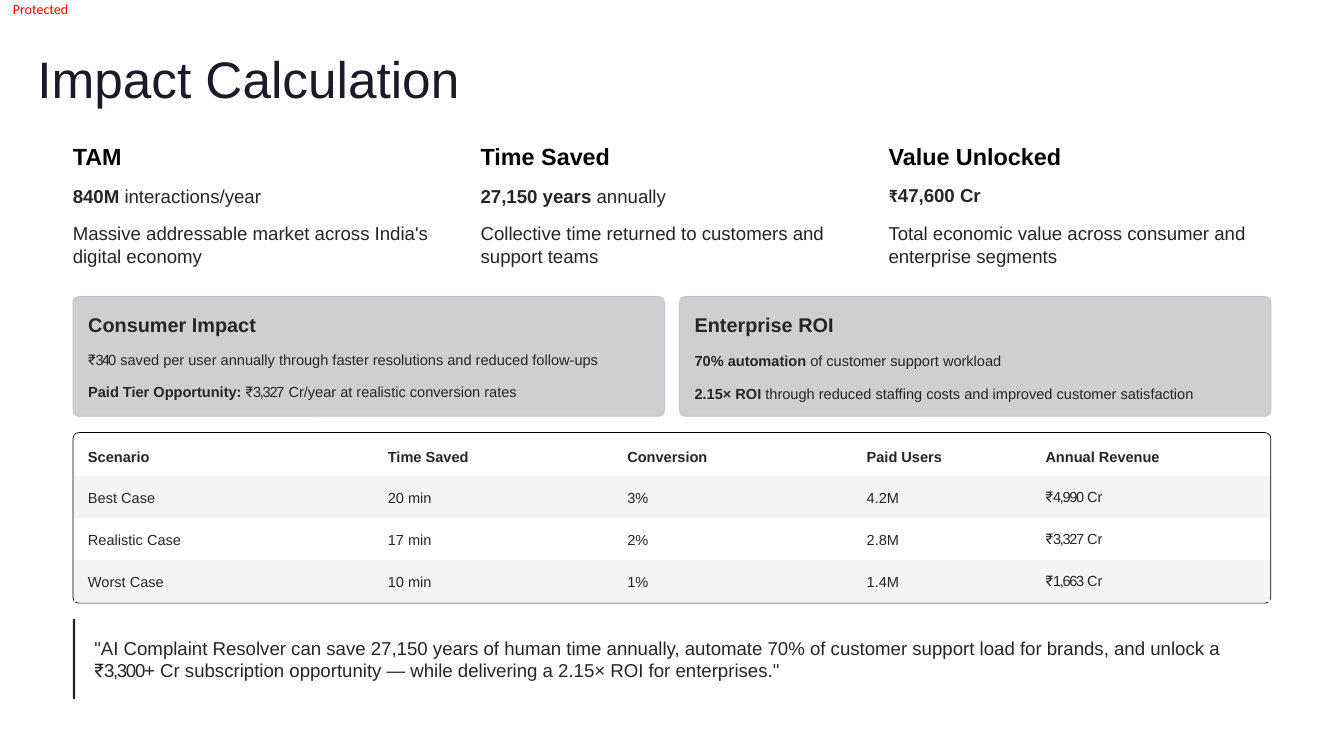
from pptx import Presentation
from pptx.dml.color import RGBColor
from pptx.enum.shapes import MSO_SHAPE
from pptx.enum.text import MSO_ANCHOR, MSO_AUTO_SIZE, PP_ALIGN
from pptx.util import Pt

BLACK = RGBColor(0x00, 0x00, 0x00)
INK = RGBColor(0x27, 0x24, 0x24)
NAVY = RGBColor(0x1B, 0x1B, 0x27)
RED = RGBColor(0xFF, 0x00, 0x00)
PANEL = RGBColor(0xD0, 0xCE, 0xCE)
PANEL_EDGE = RGBColor(0xC5, 0xBC, 0xDA)
BAND = RGBColor(0xF4, 0xF4, 0xF4)
BAR = RGBColor(0x25, 0x25, 0x25)

NO_GRID_STYLE = "{2D5ABB26-0587-4C30-8999-92F81FD0307C}"
LEFT = 62.6
WIDTH = 1026.7
CORNER = 5

BODY = {"name": "Arial", "size": Pt(16), "color": INK}
SMALL = BODY | {"size": Pt(12.5)}
COLUMN_HEAD = {"name": "Arial", "size": Pt(20), "color": BLACK, "bold": True}
PANEL_HEAD = BODY | {"size": Pt(17), "bold": True}
TITLE = {"name": "Arial", "size": Pt(44), "color": NAVY}
LABEL = {"name": "Calibri", "size": Pt(12), "color": RED}
BOLD = {"bold": True}


def rupees(amount, spacing=-1.1):
    return [("₹", {"name": "Roboto", "spacing": spacing}), (amount, {"spacing": spacing})]


def para(runs, font, **layout):
    return runs, font, layout


COLUMNS = [
    (307.4, "TAM", [("840M ", BOLD), ("interactions/year", {})], 13.3, 11.2,
     "Massive addressable market across India's digital economy"),
    (297.4, "Time Saved", [("27,150 years ", BOLD), ("annually", {})], 13.3, 11.2,
     "Collective time returned to customers and support teams"),
    (310.3, "Value Unlocked", [("₹", BOLD | {"name": "Calibri"}), ("47,600 Cr", BOLD)], 11.8, 12.7,
     "Total economic value across consumer and enterprise segments"),
]

PANELS = [
    ("Consumer Impact", 11.8, 12.5, [
        rupees("340", -1.6)
        + [(" saved per user annually through faster resolutions and reduced follow-ups", {})],
        [("Paid Tier Opportunity: ", BOLD), *rupees("3,327"),
         (" Cr/year at realistic conversion rates", {})]]),
    ("Enterprise ROI", 13.1, 13.1, [
        [("70% automation ", BOLD), ("of customer support workload", {})],
        [("2.15× ROI ", BOLD),
         ("through reduced staffing costs and improved customer satisfaction", {})]]),
]

SCENARIOS = [
    ["Scenario", "Time Saved", "Conversion", "Paid Users", "Annual Revenue"],
    ["Best Case", "20 min", "3%", "4.2M", "4,990 "],
    ["Realistic Case", "17 min", "2%", "2.8M", "3,327 "],
    ["Worst Case", "10 min", "1%", "1.4M", "1,663 "],
]
TABLE_COLUMNS = [(180.7, 12.2), (226.1, 88.6), (204.5, 67.7), (177.1, 68.4), (236.9, 44.6)]

QUOTE = [
    ('"AI Complaint Resolver can save 27,150 years of human time annually, automate 70% of '
     "customer support load for brands, and unlock a ", {}),
    *rupees("3,300+"),
    (' Cr subscription opportunity — while delivering a 2.15× ROI for enterprises."', {}),
]


def add_run(p, text, fmt):
    r = p.add_run()
    r.text = text
    for key, value in fmt.items():
        if key == "color":
            r.font.color.rgb = value
        elif key == "spacing":
            r._r.get_or_add_rPr().set("spc", str(round(value * 100)))
        else:
            setattr(r.font, key, value)


def write(tf, paras):
    for i, (runs, font, layout) in enumerate(paras):
        p = tf.add_paragraph() if i else tf.paragraphs[0]
        for key, value in layout.items():
            setattr(p, key, value)
        for text, fmt in runs:
            add_run(p, text, font | fmt)


def fill_frame(sp, paras, wrap=True):
    tf = sp.text_frame
    frame = {"word_wrap": wrap, "auto_size": MSO_AUTO_SIZE.NONE, "vertical_anchor": MSO_ANCHOR.TOP,
             "margin_left": Pt(1), "margin_top": Pt(2), "margin_right": 0, "margin_bottom": 0}
    for key, value in frame.items():
        setattr(tf, key, value)
    write(tf, paras)


def add_text(s, box, paras, wrap=True):
    fill_frame(s.shapes.add_textbox(*map(Pt, box)), paras, wrap)


def add_box(s, box, kind, fill=None, line=None):
    sp = s.shapes.add_shape(kind, *map(Pt, box))
    sp.shadow.inherit = False
    if kind == MSO_SHAPE.ROUNDED_RECTANGLE:
        sp.adjustments[0] = CORNER / min(box[2:])
    if fill is None:
        sp.fill.background()
    else:
        sp.fill.solid()
        sp.fill.fore_color.rgb = fill
    if line is None:
        sp.line.fill.background()
    else:
        sp.line.color.rgb = line
        sp.line.width = Pt(0.6)


def add_title(s):
    sp = s.shapes.title
    sp.left, sp.top, sp.width, sp.height = map(Pt, (31, 38.2, 363.6, 54.7))
    fill_frame(sp, [para([("Impact Calculation", {})], TITLE, alignment=PP_ALIGN.LEFT)])


def add_columns(s):
    for i, (width, head, figure, gap, text_gap, text) in enumerate(COLUMNS):
        add_text(s, (61.4 + 349.6 * i, 119.5, width, 109.4), [
            para([(head, {})], COLUMN_HEAD),
            para(figure, BODY, space_before=Pt(gap)),
            para([(text, {})], BODY, space_before=Pt(text_gap), line_spacing=1.04)])


def add_panels(s):
    for i, (head, first_gap, next_gap, lines) in enumerate(PANELS):
        left = LEFT + 519.8 * i
        add_box(s, (left, 254.2, 507, 102.6), MSO_SHAPE.ROUNDED_RECTANGLE, PANEL, PANEL_EDGE)
        add_text(s, (left + 12, 266.4, 443, 77), [para([(head, {})], PANEL_HEAD)] + [
            para(runs, SMALL, space_before=Pt(gap))
            for runs, gap in zip(lines, (first_gap, next_gap))])


def add_scenarios(s):
    add_box(s, (LEFT, 370.8, WIDTH, 146.2), MSO_SHAPE.ROUNDED_RECTANGLE, line=BLACK)
    shape = s.shapes.add_table(len(SCENARIOS), len(TABLE_COLUMNS),
                               Pt(63.2), Pt(385.2), Pt(1025.3), Pt(130.6))
    table = shape.table
    table._tbl.tblPr[0].text = NO_GRID_STYLE
    table.horz_banding = False
    for row, height in zip(table.rows, (22.6, 36, 36, 36)):
        row.height = Pt(height)
    for col, (width, _) in zip(table.columns, TABLE_COLUMNS):
        col.width = Pt(width)
    for y, values in enumerate(SCENARIOS):
        for x, value in enumerate(values):
            cell = table.cell(y, x)
            is_money = y > 0 and x == len(values) - 1
            top = 0 if y == 0 else 11.6 if is_money else 12.8
            margins = {"margin_left": Pt(TABLE_COLUMNS[x][1]), "margin_top": Pt(top),
                       "margin_right": 0, "margin_bottom": 0}
            for key, margin in margins.items():
                setattr(cell, key, margin)
            if y % 2:
                cell.fill.solid()
                cell.fill.fore_color.rgb = BAND
            else:
                cell.fill.background()
            runs = rupees(value) + [("Cr", {})] if is_money else [(value, {})]
            layout = {} if y else {"line_spacing": Pt(13.8)}
            write(cell.text_frame, [para(runs, SMALL | {"bold": y == 0}, **layout)])


def add_quote(s):
    add_text(s, (79.9, 544.3, 970.6, 39.6), [para(QUOTE, BODY, line_spacing=Pt(18.9))])
    add_box(s, (LEFT, 530.6, 1.8, 68.4), MSO_SHAPE.RECTANGLE, BAR)


def main():
    prs = Presentation()
    prs.slide_width, prs.slide_height = Pt(1152), Pt(648)
    s = prs.slides.add_slide(prs.slide_layouts[5])
    add_text(s, (10, -1.4, 50.4, 16.6), [para([("Protected", {})], LABEL)], wrap=False)
    add_title(s)
    add_columns(s)
    add_panels(s)
    add_scenarios(s)
    add_quote(s)
    prs.save("out.pptx")


if __name__ == "__main__":
    main()
